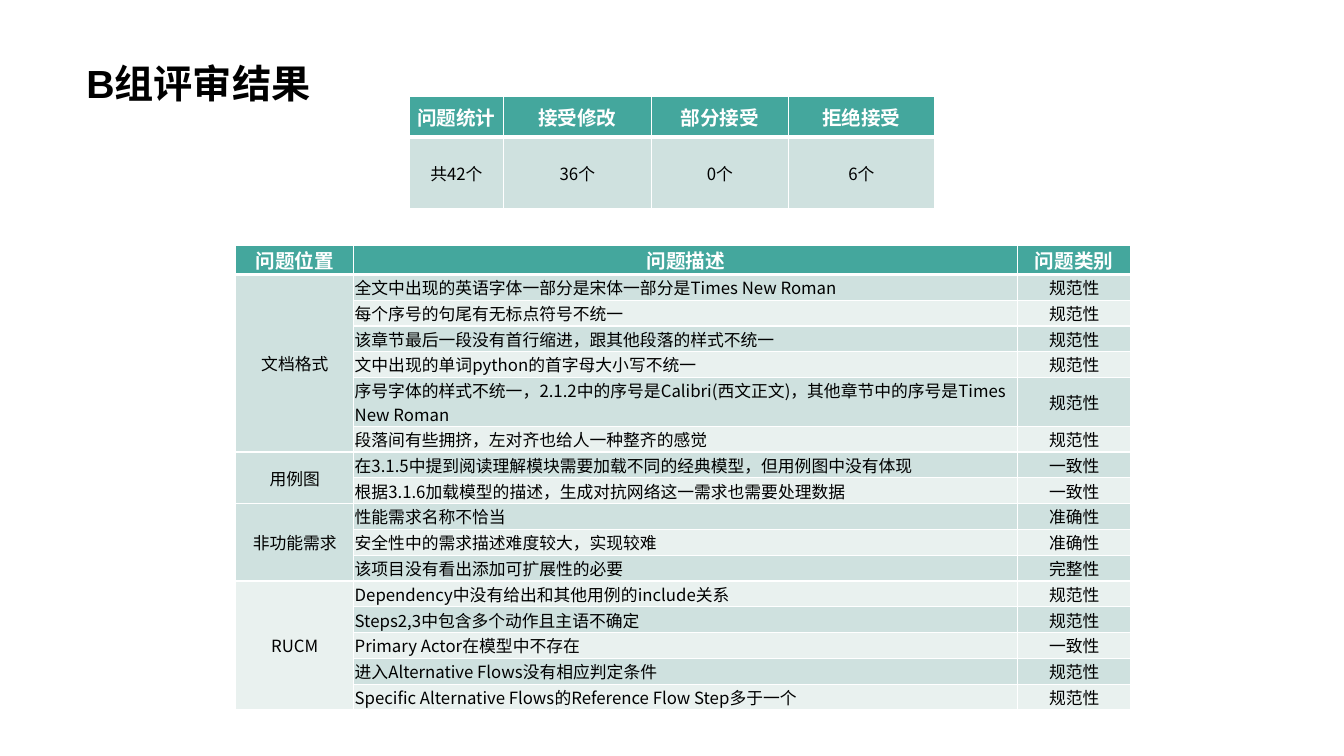
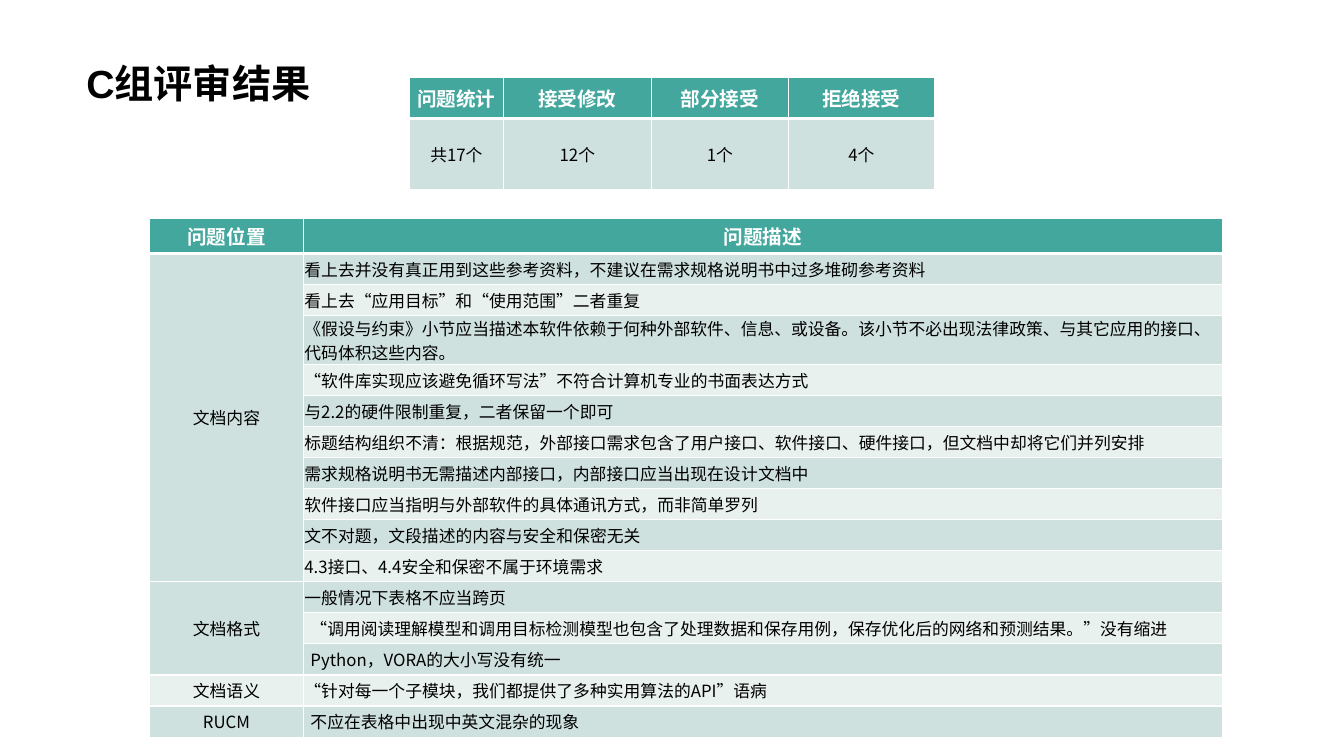
"""Build two slides of review results, each with a summary table and an issue table."""
from lxml import etree
from pptx import Presentation
from pptx.dml.color import RGBColor
from pptx.enum import lang, text
from pptx.oxml import ns
from pptx.util import Pt

TEAL = RGBColor(0x44, 0xA7, 0x9D)
MINT = RGBColor(0xCF, 0xE1, 0xDF)
PALE = RGBColor(0xE9, 0xF1, 0xEF)
WHITE = RGBColor(0xFF, 0xFF, 0xFF)
BLACK = RGBColor(0x00, 0x00, 0x00)

LATIN_TITLE = "Arial"
CHINESE = "Noto Sans CJK SC"
LEFT, CENTER = text.PP_ALIGN.LEFT, text.PP_ALIGN.CENTER
NARROW, WIDE = 0.7, 5
TWO_LINES = 34.8

SUMMARY_HEADS = ["问题统计", "接受修改", "部分接受", "拒绝接受"]
SUMMARY_WIDTHS = [67, 105.8, 97.9, 104.2]
SUMMARY_HEIGHTS = [29.2, 51]
SUMMARY_LEFT = 292.5

REVIEWS = [
    {
        "title": "B组评审结果",
        "counts": ["共42个", "36个", "0个", "6个"],
        "summary_top": 68.8,
        "heads": ["问题位置", "问题描述", "问题类别"],
        "corner": (168.5, 175),
        "widths": [84.2, 474.2, 80.9],
        "head_height": 21,
        "row_height": 18.43,
        "wrapped": [5],
        "indented": [],
        "groups": [
            ("文档格式", [
                ("全文中出现的英语字体一部分是宋体一部分是Times New Roman", "规范性"),
                ("每个序号的句尾有无标点符号不统一", "规范性"),
                ("该章节最后一段没有首行缩进，跟其他段落的样式不统一", "规范性"),
                ("文中出现的单词python的首字母大小写不统一", "规范性"),
                ("序号字体的样式不统一，2.1.2中的序号是Calibri(西文正文)，"
                 "其他章节中的序号是Times New Roman", "规范性"),
                ("段落间有些拥挤，左对齐也给人一种整齐的感觉", "规范性"),
            ]),
            ("用例图", [
                ("在3.1.5中提到阅读理解模块需要加载不同的经典模型，但用例图中没有体现", "一致性"),
                ("根据3.1.6加载模型的描述，生成对抗网络这一需求也需要处理数据", "一致性"),
            ]),
            ("非功能需求", [
                ("性能需求名称不恰当", "准确性"),
                ("安全性中的需求描述难度较大，实现较难", "准确性"),
                ("该项目没有看出添加可扩展性的必要", "完整性"),
            ]),
            ("RUCM", [
                ("Dependency中没有给出和其他用例的include关系", "规范性"),
                ("Steps2,3中包含多个动作且主语不确定", "规范性"),
                ("Primary Actor在模型中不存在", "一致性"),
                ("进入Alternative Flows没有相应判定条件", "规范性"),
                ("Specific Alternative Flows的Reference Flow Step多于一个", "规范性"),
            ]),
        ],
    },
    {
        "title": "C组评审结果",
        "counts": ["共17个", "12个", "1个", "4个"],
        "summary_top": 55.4,
        "heads": ["问题位置", "问题描述"],
        "corner": (106.8, 155.8),
        "widths": [110, 656.5],
        "head_height": 25.2,
        "row_height": 22.2,
        "wrapped": [3],
        "indented": [12, 13, 15],
        "groups": [
            ("文档内容", [
                ("看上去并没有真正用到这些参考资料，不建议在需求规格说明书中过多堆砌参考资料",),
                ("看上去“应用目标”和“使用范围”二者重复",),
                ("《假设与约束》小节应当描述本软件依赖于何种外部软件、信息、或设备。"
                 "该小节不必出现法律政策、与其它应用的接口、代码体积这些内容。",),
                ("“软件库实现应该避免循环写法”不符合计算机专业的书面表达方式",),
                ("与2.2的硬件限制重复，二者保留一个即可",),
                ("标题结构组织不清：根据规范，外部接口需求包含了用户接口、软件接口、硬件接口，"
                 "但文档中却将它们并列安排",),
                ("需求规格说明书无需描述内部接口，内部接口应当出现在设计文档中",),
                ("软件接口应当指明与外部软件的具体通讯方式，而非简单罗列",),
                ("文不对题，文段描述的内容与安全和保密无关",),
                ("4.3接口、4.4安全和保密不属于环境需求",),
            ]),
            ("文档格式", [
                ("一般情况下表格不应当跨页",),
                ("“调用阅读理解模型和调用目标检测模型也包含了处理数据和保存用例，"
                 "保存优化后的网络和预测结果。”没有缩进",),
                ("Python，VORA的大小写没有统一",),
            ]),
            ("文档语义", [("“针对每一个子模块，我们都提供了多种实用算法的API”语病",)]),
            ("RUCM", [("不应在表格中出现中英文混杂的现象",)]),
        ],
    },
]


def write(paragraph, words, size, color, bold, latin=CHINESE):
    run = paragraph.add_run()
    run.text = words
    font = run.font
    font.size, font.bold = Pt(size), bold
    font.color.rgb = color
    font.name = latin
    font.language_id = lang.MSO_LANGUAGE_ID.SIMPLIFIED_CHINESE
    east_asian = etree.SubElement(run._r.get_or_add_rPr(), ns.qn("a:ea"))
    east_asian.set("typeface", CHINESE)


def add_title(slide, words):
    frame = slide.shapes.add_textbox(Pt(54.7), Pt(0), Pt(850), Pt(80)).text_frame
    frame.word_wrap = True
    frame.vertical_anchor = text.MSO_ANCHOR.BOTTOM
    heading = frame.paragraphs[0]
    heading.line_spacing = 0.9
    write(heading, words, 28, BLACK, True, LATIN_TITLE)


def rule_cell(cell, row):
    weights = {"L": 1, "R": 1, "T": 3 if row == 1 else 1, "B": 3 if row == 0 else 1}
    properties = cell._tc.get_or_add_tcPr()
    for position, (side, weight) in enumerate(weights.items()):
        line = etree.Element(ns.qn("a:ln" + side), w=str(Pt(weight)))
        fill = etree.SubElement(line, ns.qn("a:solidFill"))
        etree.SubElement(fill, ns.qn("a:srgbClr"), val=str(WHITE))
        properties.insert(position, line)


def add_grid(slide, rows, corner, widths, heights, left_column=None, indented=()):
    left, top = corner
    grid = slide.shapes.add_table(
        len(rows), len(widths), Pt(left), Pt(top), Pt(sum(widths)), Pt(sum(heights))
    ).table
    grid.horz_banding = False
    for column, width in zip(grid.columns, widths):
        column.width = Pt(width)
    for r, (words_in_row, height) in enumerate(zip(rows, heights)):
        grid.rows[r].height = Pt(height)
        band = TEAL if r == 0 else MINT if r % 2 else PALE
        for c, words in enumerate(words_in_row):
            cell = grid.cell(r, c)
            aligned_left = r > 0 and c == left_column
            side = WIDE if aligned_left and r in indented else NARROW
            cell.margin_left = cell.margin_right = Pt(side)
            cell.margin_top = cell.margin_bottom = Pt(0)
            cell.vertical_anchor = text.MSO_ANCHOR.MIDDLE
            cell.fill.solid()
            cell.fill.fore_color.rgb = band
            rule_cell(cell, r)
            paragraph = cell.text_frame.paragraphs[0]
            paragraph.alignment = LEFT if aligned_left else CENTER
            if words:
                size, color = (12, BLACK) if r else (14, WHITE)
                write(paragraph, words, size, color, r == 0)
    return grid


def add_issues(slide, review):
    rows, spans = [review["heads"]], []
    for place, issues in review["groups"]:
        spans.append((len(rows), len(rows) + len(issues) - 1))
        rows += [[place if i == 0 else "", *issue] for i, issue in enumerate(issues)]
    heights = [review["head_height"]] + [review["row_height"]] * (len(rows) - 1)
    for r in review["wrapped"]:
        heights[r] = TWO_LINES
    grid = add_grid(slide, rows, review["corner"], review["widths"], heights,
                    left_column=1, indented=review["indented"])
    for first, last in spans:
        if last > first:
            grid.cell(first, 0).merge(grid.cell(last, 0))


def main():
    deck = Presentation()
    deck.slide_width, deck.slide_height = Pt(960), Pt(540)
    for review in REVIEWS:
        slide = deck.slides.add_slide(deck.slide_layouts[6])
        add_title(slide, review["title"])
        add_issues(slide, review)
        add_grid(slide, [SUMMARY_HEADS, review["counts"]],
                 (SUMMARY_LEFT, review["summary_top"]), SUMMARY_WIDTHS, SUMMARY_HEIGHTS)
    deck.save("out.pptx")


if __name__ == "__main__":
    main()
